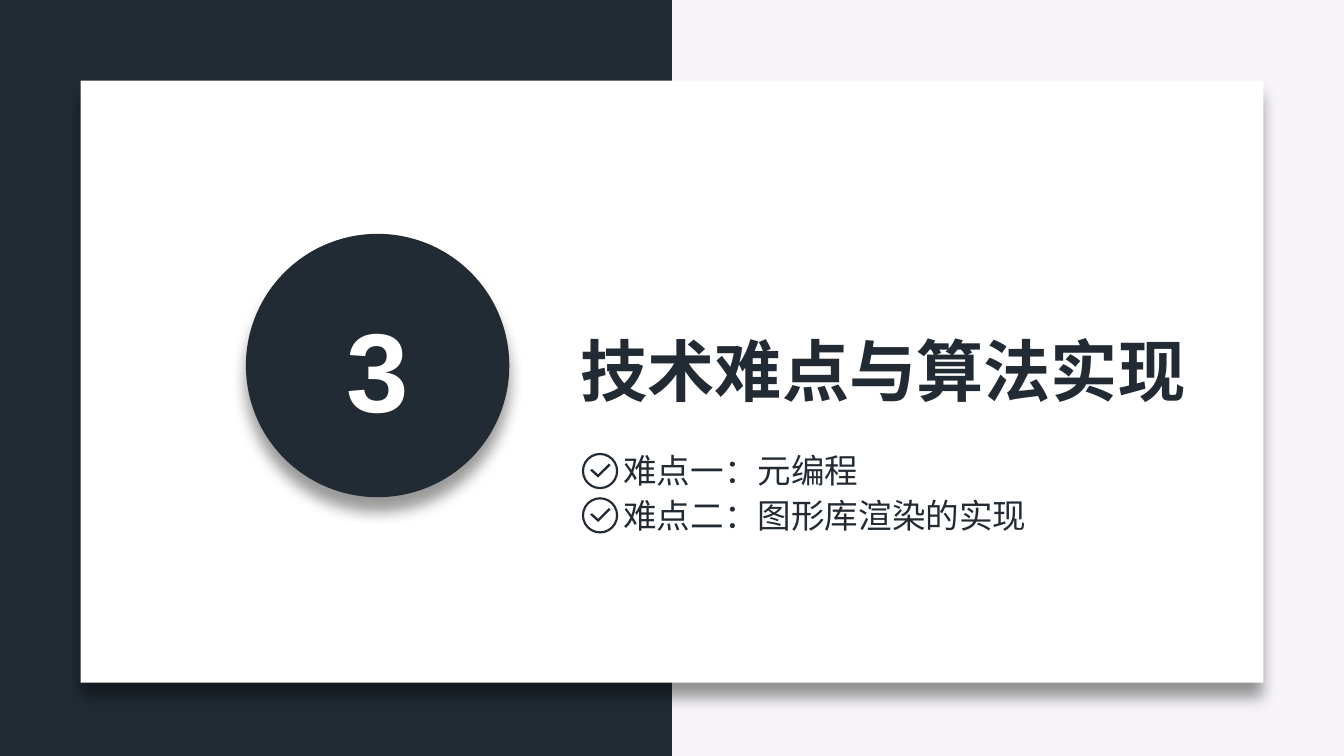
import lxml.etree
import pptx
import pptx.dml.color
import pptx.enum.shapes
import pptx.enum.text
import pptx.oxml.ns
import pptx.util
from pptx.util import Inches

DARK = "222B34"
WHITE = "FFFFFF"
CJK_FONT = "Noto Sans CJK SC"
SLIDE_WIDTH = 10
SLIDE_HEIGHT = SLIDE_WIDTH * 9 / 16
SHAPES = pptx.enum.shapes.MSO_SHAPE
ALIGN = pptx.enum.text.PP_ALIGN
TICK_POINTS = [(60, 130), (75, 120), (120, 160), (200, 80), (213, 92), (120, 184)]


def color(value):
    return pptx.dml.color.RGBColor.from_string(value)


def paint(shape, fill):
    shape.shadow.inherit = False
    shape.fill.solid()
    shape.fill.fore_color.rgb = color(fill)
    shape.line.fill.background()


def add_panel(slide, kind, left, top, width, height, fill):
    shape = slide.shapes.add_shape(
        kind, Inches(left), Inches(top), Inches(width), Inches(height))
    paint(shape, fill)
    return shape


def add_shadow(shape):
    qn = pptx.oxml.ns.qn
    effects = shape._element.spPr.find(qn("a:effectLst"))
    distance = str(pptx.util.Pt(8))
    shadow = lxml.etree.SubElement(
        effects, qn("a:outerShdw"), blurRad=distance, dist=distance,
        dir="5400000", algn="t", rotWithShape="0")
    tint = lxml.etree.SubElement(shadow, qn("a:srgbClr"), val="000000")
    lxml.etree.SubElement(tint, qn("a:alpha"), val="40000")


def add_text(slide, text, left, top, width, height, size=18, font=CJK_FONT,
             fill=DARK, bold=False, align=ALIGN.LEFT, wrap=False):
    box = slide.shapes.add_textbox(
        Inches(left), Inches(top), Inches(width), Inches(height))
    frame = box.text_frame
    frame.word_wrap = wrap
    frame.auto_size = pptx.enum.text.MSO_AUTO_SIZE.SHAPE_TO_FIT_TEXT
    paragraph = frame.paragraphs[0]
    paragraph.alignment = align
    run = paragraph.add_run()
    run.text = text
    run.font.size = pptx.util.Pt(size)
    run.font.bold = bold
    run.font.color.rgb = color(fill)
    run.font.name = font
    lxml.etree.SubElement(
        run._r.get_or_add_rPr(), pptx.oxml.ns.qn("a:ea"), typeface=font)


def add_check_icon(slide, left, top):
    ring = add_panel(slide, SHAPES.DONUT, left, top, 0.27, 0.27, DARK)
    ring.adjustments[0] = 0.06
    start, *others = TICK_POINTS
    builder = slide.shapes.build_freeform(*start, scale=Inches(1) / 1000)
    builder.add_line_segments(others, close=True)
    tick = builder.convert_to_shape(Inches(left), Inches(top))
    paint(tick, DARK)


def add_check_item(slide, text, top, width):
    add_check_icon(slide, 4.33, top + 0.07)
    add_text(slide, text, 4.54, top, width, 0.4)


def main():
    presentation = pptx.Presentation()
    presentation.slide_width = Inches(SLIDE_WIDTH)
    presentation.slide_height = Inches(SLIDE_HEIGHT)
    slide = presentation.slides.add_slide(presentation.slide_layouts[6])
    slide.background.fill.solid()
    slide.background.fill.fore_color.rgb = color("F6F4F7")

    add_panel(slide, SHAPES.RECTANGLE, 0, 0, SLIDE_WIDTH / 2, SLIDE_HEIGHT, DARK)
    card = add_panel(slide, SHAPES.RECTANGLE, 0.6, 0.6, 8.8, 4.48, WHITE)
    badge = add_panel(slide, SHAPES.OVAL, 1.83, 1.74, 1.96, 1.96, DARK)
    for shape in (card, badge):
        add_shadow(shape)

    add_text(slide, "技术难点与算法实现", 4.22, 2.4, 4.75, 0.71, size=36, bold=True)
    items = [("难点一：元编程", 1.97), ("难点二：图形库渲染的实现", 3.23)]
    for index, (text, width) in enumerate(items):
        add_check_item(slide, text, 3.3 + 0.33 * index, width)
    add_text(slide, "3", 2.28, 2.19, 1.06, 1.11, size=60, font="Arial",
             fill=WHITE, bold=True, align=ALIGN.CENTER, wrap=True)

    presentation.save("out.pptx")


if __name__ == "__main__":
    main()
